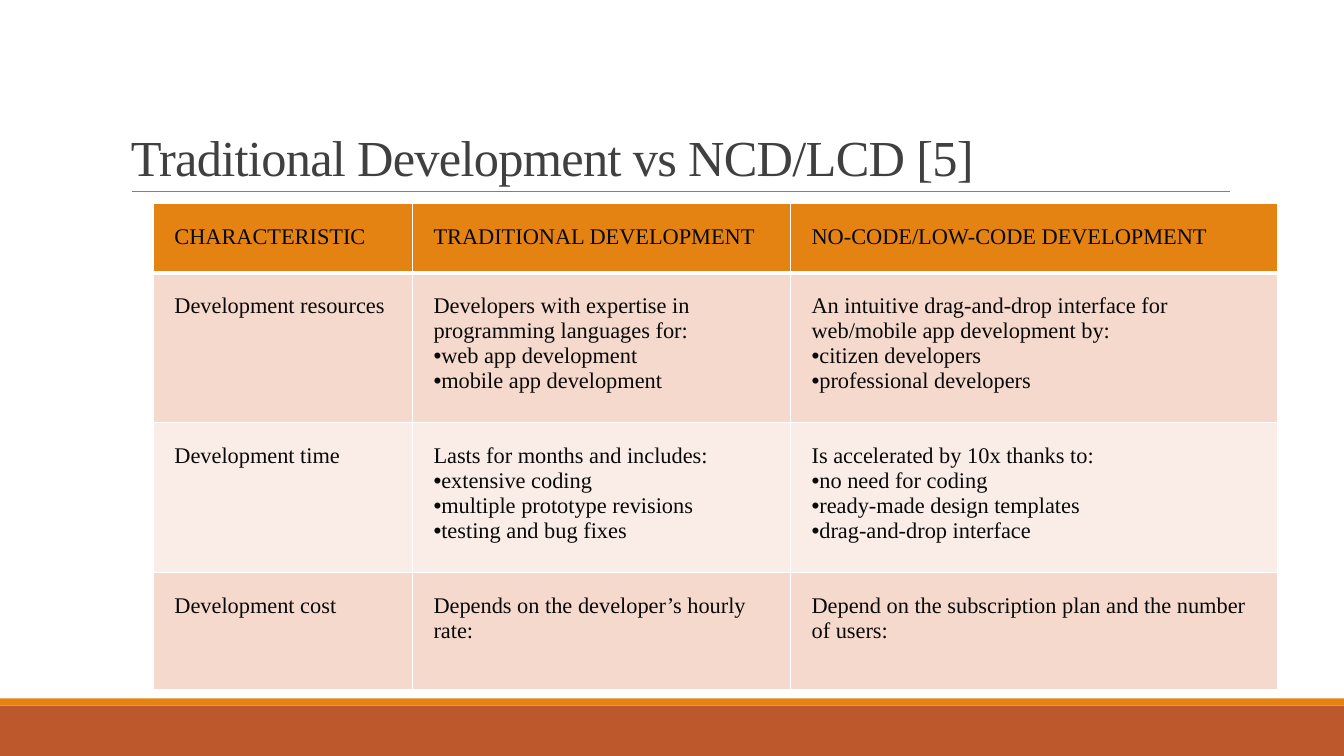
from dataclasses import dataclass

from lxml.etree import SubElement
from pptx import Presentation
from pptx.dml.color import RGBColor
from pptx.enum.shapes import MSO_CONNECTOR, MSO_SHAPE
from pptx.enum.text import MSO_ANCHOR
from pptx.oxml.ns import qn
from pptx.slide import Slide
from pptx.table import _Cell as Cell
from pptx.text.text import _Paragraph as Paragraph
from pptx.util import Inches, Length, Pt

FONT = "Times New Roman"
WHITE = RGBColor(0xFF, 0xFF, 0xFF)
RUST = RGBColor(0xBD, 0x58, 0x2C)
ORANGE = RGBColor(0xE4, 0x83, 0x12)
GREY = RGBColor(0x80, 0x80, 0x80)
TITLE_INK = RGBColor(0x40, 0x40, 0x40)
TABLE_INK = RGBColor(0x09, 0x09, 0x09)
BANDS = (RGBColor(0xF5, 0xD9, 0xCC), RGBColor(0xFA, 0xED, 0xE7))

COLS, ROWS = 133.3, 75  # slide size in grid units of a tenth of an inch
COL_WIDTHS = (25.7, 37.5, 48.3)
ROW_HEIGHTS = (6.6, 14, 14, 11.6)
CELL_INSET = 2.1
THIN, THICK = 1, 3


@dataclass(frozen=True)
class Bar:
    top: float
    height: float
    color: RGBColor


@dataclass(frozen=True)
class Entry:
    text: str
    bullets: tuple[str, ...] = ()


FOOTER_BARS = (Bar(70, 5, RUST), Bar(69.3, 0.7, ORANGE))

COMPARISON = (
    (Entry("CHARACTERISTIC"), Entry("TRADITIONAL DEVELOPMENT"),
     Entry("NO-CODE/LOW-CODE DEVELOPMENT")),
    (Entry("Development resources"),
     Entry("Developers with expertise in programming languages for:",
           ("web app development", "mobile app development")),
     Entry("An intuitive drag-and-drop interface for web/mobile app development by:",
           ("citizen developers", "professional developers"))),
    (Entry("Development time"),
     Entry("Lasts for months and includes:",
           ("extensive coding", "multiple prototype revisions", "testing and bug fixes")),
     Entry("Is accelerated by 10x thanks to:",
           ("no need for coding", "ready-made design templates", "drag-and-drop interface"))),
    (Entry("Development cost"),
     Entry("Depends on the developer’s hourly rate:"),
     Entry("Depend on the subscription plan and the number of users:")),
)


def grid(units: float) -> Length:
    return Inches(units / 10)


def style_paragraph(p: Paragraph, size: float, color: RGBColor) -> None:
    """Format the runs and the paragraph mark, whose size also sets row and bullet heights."""
    for r in p.runs:
        r.font.name, r.font.size = FONT, Pt(size)
        r.font.color.rgb = color
    mark = SubElement(p._p, qn("a:endParaRPr"), sz=str(size * 100))
    SubElement(mark, qn("a:latin"), typeface=FONT)


def add_bar(s: Slide, bar: Bar) -> None:
    sp = s.shapes.add_shape(MSO_SHAPE.RECTANGLE, 0, grid(bar.top), grid(COLS), grid(bar.height))
    sp.shadow.inherit = False
    sp.fill.solid()
    sp.fill.fore_color.rgb = bar.color
    sp.line.fill.background()


def add_title(s: Slide, text: str) -> None:
    sp = s.shapes.add_textbox(grid(12), grid(3.1), grid(110), grid(15.9))
    tf = sp.text_frame
    tf.word_wrap = True
    tf.vertical_anchor = MSO_ANCHOR.BOTTOM
    tf.text = text
    p = tf.paragraphs[0]
    p.line_spacing = 0.85
    style_paragraph(p, 36, TITLE_INK)
    p.runs[0].font._element.set("spc", "-50")


def add_title_rule(s: Slide) -> None:
    rule = s.shapes.add_connector(
        MSO_CONNECTOR.STRAIGHT, grid(13.1), grid(19), grid(122), grid(19))
    rule.line.color.rgb = GREY
    rule.line.width = Pt(0.5)
    SubElement(rule._element.spPr, qn("a:effectLst"))


def set_borders(cell: Cell, bottom: float) -> None:
    """Draw white cell borders; call before the fill, which must follow them in the XML."""
    tc_pr = cell._tc.get_or_add_tcPr()
    for side, width in (("L", THIN), ("R", THIN), ("T", THIN), ("B", bottom)):
        ln = SubElement(tc_pr, qn(f"a:ln{side}"), w=str(Pt(width)))
        SubElement(SubElement(ln, qn("a:solidFill")), qn("a:srgbClr"), val=str(WHITE))


def add_bullet(p: Paragraph) -> None:
    p_pr = p._p.get_or_add_pPr()
    SubElement(p_pr, qn("a:buFont"), typeface="Arial")
    SubElement(p_pr, qn("a:buChar"), char="•")


def fill_cell(cell: Cell, entry: Entry, row: int) -> None:
    set_borders(cell, bottom=THIN if row else THICK)
    cell.fill.solid()
    cell.fill.fore_color.rgb = BANDS[(row - 1) % 2] if row else ORANGE
    cell.margin_left = cell.margin_right = grid(CELL_INSET)
    cell.margin_top = cell.margin_bottom = grid(CELL_INSET)
    tf = cell.text_frame
    tf.text = "\n".join((entry.text, *entry.bullets))
    for p in tf.paragraphs:
        style_paragraph(p, 16, TABLE_INK)
    for p in tf.paragraphs[1:]:
        add_bullet(p)


def add_comparison(s: Slide) -> None:
    table = s.shapes.add_table(
        len(ROW_HEIGHTS), len(COL_WIDTHS), grid(15.2), grid(20.2),
        grid(sum(COL_WIDTHS)), grid(sum(ROW_HEIGHTS))).table
    for column, width in zip(table.columns, COL_WIDTHS):
        column.width = grid(width)
    for row, (height, entries) in enumerate(zip(ROW_HEIGHTS, COMPARISON)):
        table.rows[row].height = grid(height)
        for col, entry in enumerate(entries):
            fill_cell(table.cell(row, col), entry, row)


def main() -> None:
    prs = Presentation()
    prs.slide_width, prs.slide_height = grid(COLS), grid(ROWS)
    s = prs.slides.add_slide(prs.slide_layouts[6])
    for bar in FOOTER_BARS:
        add_bar(s, bar)
    add_title_rule(s)
    add_title(s, "Traditional Development vs NCD/LCD [5]")
    add_comparison(s)
    prs.save("out.pptx")


if __name__ == "__main__":
    main()
